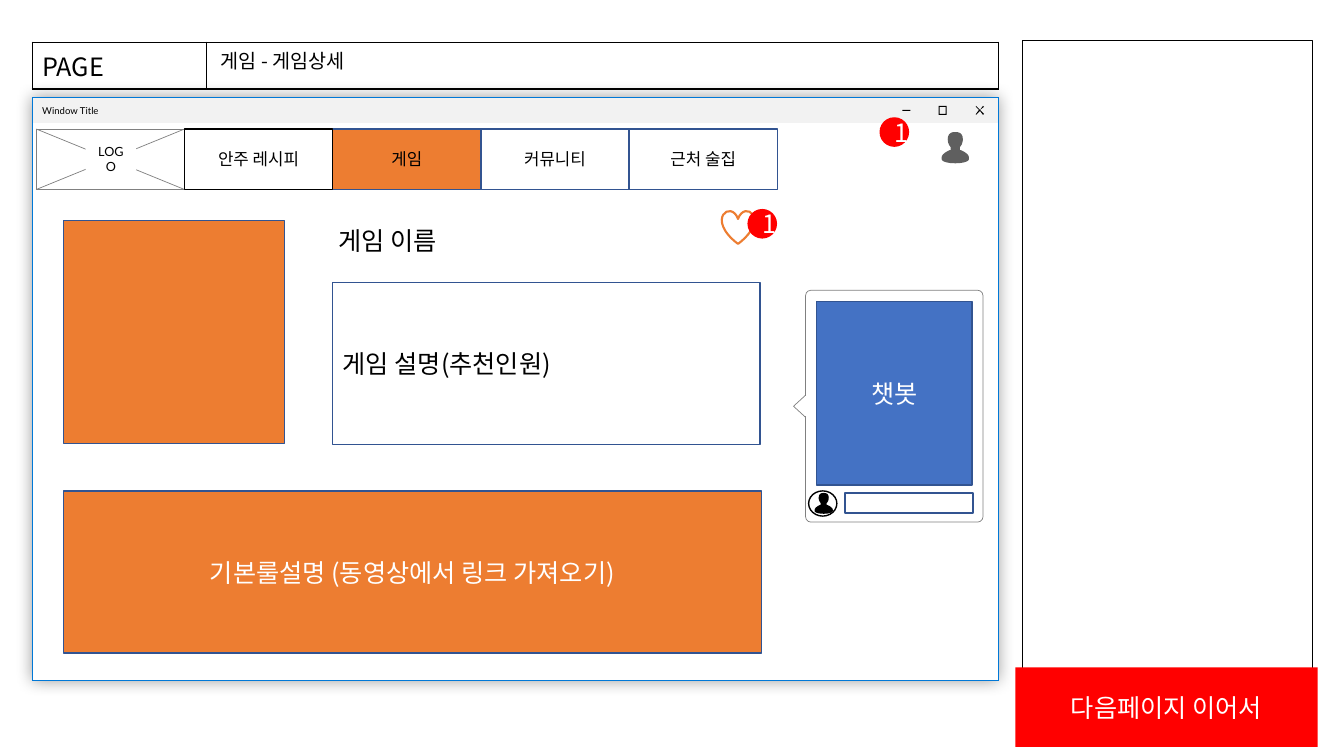
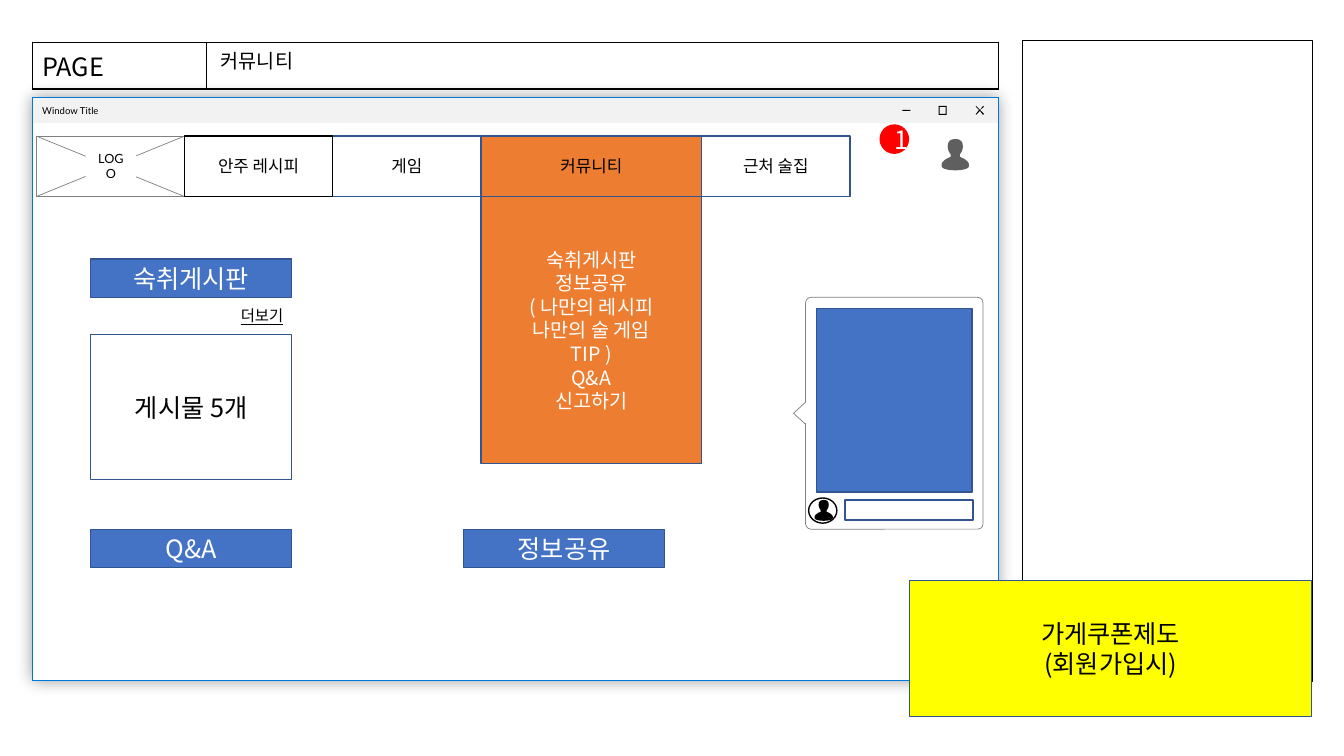
"""Builds two wireframe slides: a game detail page and a community page."""
from lxml import etree
from pptx import Presentation
from pptx.dml.color import RGBColor
from pptx.enum.shapes import MSO_CONNECTOR, MSO_SHAPE
from pptx.enum.text import MSO_ANCHOR, MSO_AUTO_SIZE, PP_ALIGN
from pptx.oxml.ns import qn
from pptx.util import Inches, Pt

BLACK = RGBColor(0x00, 0x00, 0x00)
WHITE = RGBColor(0xFF, 0xFF, 0xFF)
RED = RGBColor(0xFF, 0x00, 0x00)
YELLOW = RGBColor(0xFF, 0xFF, 0x00)
ORANGE = RGBColor(0xED, 0x7D, 0x31)
BLUE = RGBColor(0x44, 0x72, 0xC4)
NAVY = RGBColor(0x32, 0x54, 0x91)
WINDOW_BLUE = RGBColor(0x00, 0x78, 0xD7)
BAR_GRAY = RGBColor(0xF2, 0xF2, 0xF2)
GRAY = RGBColor(0x80, 0x80, 0x80)
ICON_GRAY = RGBColor(0x5F, 0x5F, 0x5F)
KOREAN, LATIN = "Noto Sans CJK KR", "Lato"
LEFT, CENTER = PP_ALIGN.LEFT, PP_ALIGN.CENTER

TABS = ["안주 레시피", "게임", "커뮤니티", "근처 술집"]
TAB_LEFT, TAB_W, TAB_H = 1.83, 1.47, 0.6
WINDOW = (0.32, 0.97, 9.58, 5.78)
BADGE = {"shape": MSO_SHAPE.OVAL, "fill": RED, "line": RED, "text": "1", "color": WHITE}
BLUE_BOX = {"fill": BLUE, "line": NAVY, "color": WHITE}
ORANGE_BOX = {"fill": ORANGE, "line": NAVY, "color": WHITE}
WHITE_BOX = {"fill": WHITE, "line": NAVY}
LABEL = {"align": LEFT, "anchor": MSO_ANCHOR.TOP, "wrap": False}

PAGES = [
    {
        "title": "게임 - 게임상세",
        "top": 1.28,
        "active": "게임",
        "active_w": TAB_W,
        "chat": "챗봇",
        "boxes": [
            ((0.63, 2.19, 2.19, 2.21), ORANGE_BOX),
            ((3.26, 2.19, 1.3, 0.4), {**LABEL, "text": "게임 이름"}),
            ((3.3, 2.8, 4.24, 1.61),
             {**WHITE_BOX, "text": "게임 설명(추천인원)", "align": LEFT}),
            ((0.63, 4.87, 6.92, 1.61),
             {**ORANGE_BOX, "text": "기본룰설명 (동영상에서 링크 가져오기)"}),
            ((7.16, 2.09, 0.32, 0.33),
             {"shape": MSO_SHAPE.HEART, "fill": WHITE, "line": ORANGE, "weight": 1.5}),
            ((7.42, 2.08, 0.28, 0.28), BADGE),
            ((10.07, 6.62, 3, 0.79),
             {"fill": RED, "color": WHITE, "text": "다음페이지 이어서"}),
        ],
    },
    {
        "title": "커뮤니티",
        "top": 1.35,
        "active": "커뮤니티",
        "active_w": 2.19,
        "chat": "",
        "boxes": [
            ((0.9, 2.57, 1.99, 0.38), {**BLUE_BOX, "text": "숙취게시판"}),
            ((4.77, 1.95, 2.19, 2.65),
             {**ORANGE_BOX, "size": 14,
              "text": "숙취게시판\n정보공유\n( 나만의 레시피\n나만의 술 게임\nTIP )\nQ&A\n신고하기"}),
            ((4.6, 5.25, 1.99, 0.38), {**BLUE_BOX, "text": "정보공유"}),
            ((0.9, 5.25, 1.99, 0.38), {**BLUE_BOX, "text": "Q&A"}),
            ((0.9, 3.32, 1.99, 1.44), {**WHITE_BOX, "text": "게시물 5개"}),
            ((2.29, 2.99, 0.66, 0.29),
             {**LABEL, "text": "더보기", "size": 11, "underline": True}),
            ((9.02, 5.76, 3.99, 1.35),
             {"fill": YELLOW, "line": NAVY, "text": "가게쿠폰제도\n(회원가입시)"}),
        ],
    },
]

PERSON_W = 0.27
PERSON_START = (0.13, 0)
PERSON_LEFT_HALF = [
    [(0.09, 0), (0.06, 0.02), (0.06, 0.07)],
    [(0.06, 0.1), (0.07, 0.13), (0.09, 0.15)],
    [(0.09, 0.15), (0.09, 0.17), (0.09, 0.17)],
    [(0.09, 0.18), (0.09, 0.18), (0.08, 0.18)],
    [(0.03, 0.2), (0, 0.23), (0, 0.25)],
    [(0, 0.25), (0, 0.27), (0, 0.27)],
    [(0, 0.29), (0.05, 0.31), (0.13, 0.31)],
]
MAXIMIZE = [
    [(9.31, 1.05), (9.31, 1.14), (9.39, 1.14), (9.39, 1.05)],
    [(9.32, 1.06), (9.38, 1.06), (9.38, 1.13), (9.32, 1.13)],
]
CLOSE = [[
    (9.68, 1.05), (9.68, 1.06), (9.71, 1.09), (9.68, 1.13), (9.68, 1.14), (9.72, 1.1),
    (9.75, 1.14), (9.76, 1.13), (9.72, 1.09), (9.76, 1.06), (9.75, 1.05), (9.72, 1.09),
]]


def inches(values):
    return [Inches(v) for v in values]


def paint(sp, fill=None, line=None, weight=1):
    sp.shadow.inherit = False
    if fill is None:
        sp.fill.background()
    else:
        sp.fill.solid()
        sp.fill.fore_color.rgb = fill
    if line is None:
        sp.line.fill.background()
    else:
        sp.line.color.rgb = line
        sp.line.width = Pt(weight)


def add_run(p, text, size=18, color=BLACK, font=KOREAN, underline=None):
    r = p.add_run()
    r.text = text
    r.font.size = Pt(size)
    r.font.color.rgb = color
    r.font.name = font
    r.font.underline = underline
    etree.SubElement(r.font._element, qn("a:ea"), typeface=font)


def add_box(shapes, at, shape=MSO_SHAPE.RECTANGLE, fill=None, line=None, weight=1, text="",
            align=CENTER, anchor=MSO_ANCHOR.MIDDLE, wrap=True, **font):
    if fill is None and line is None:
        sp = shapes.add_textbox(*inches(at))
    else:
        sp = shapes.add_shape(shape, *inches(at))
        paint(sp, fill, line, weight)
    if text:
        tf = sp.text_frame
        tf.word_wrap = wrap
        tf.vertical_anchor = anchor
        for i, words in enumerate(text.split("\n")):
            p = tf.add_paragraph() if i else tf.paragraphs[0]
            p.alignment = align
            add_run(p, words, **font)
    return sp


def add_line(shapes, start, end, color):
    cx = shapes.add_connector(MSO_CONNECTOR.STRAIGHT, *inches(start + end))
    cx.line.color.rgb = color
    cx.line.width = Pt(0.5)
    etree.SubElement(cx._element.spPr, qn("a:effectLst"))


def add_outline(shapes, contours, fill):
    contours = [[inches(point) for point in contour] for contour in contours]
    builder = shapes.build_freeform(*contours[0][0])
    for i, contour in enumerate(contours):
        if i:
            builder.move_to(*contour[0])
        builder.add_line_segments(contour[1:], close=True)
    paint(builder.convert_to_shape(), fill)


def person_points(left, top, width):
    half = [PERSON_START]
    for c1, c2, end in PERSON_LEFT_HALF:
        start = half[-1]
        for t in (0.2, 0.4, 0.6, 0.8, 1):
            weights = ((1 - t) ** 3, 3 * t * (1 - t) ** 2, 3 * t * t * (1 - t), t ** 3)
            half.append(tuple(sum(w * pt[k] for w, pt in zip(weights, (start, c1, c2, end)))
                              for k in (0, 1)))
    whole = half + [(PERSON_W - x, y) for x, y in reversed(half)]
    scale = width / PERSON_W
    return [(left + x * scale, top + y * scale) for x, y in whole]


def add_glow(sp):
    effects = sp._element.spPr.find(qn("a:effectLst"))
    glow = etree.SubElement(effects, qn("a:outerShdw"), blurRad=str(Pt(12)), dist="0",
                            algn="ctr", rotWithShape="0")
    color = etree.SubElement(glow, qn("a:srgbClr"), val=str(BLACK))
    etree.SubElement(color, qn("a:alpha"), val="40000")


def add_page_table(shapes):
    table = shapes.add_table(1, 2, *inches((0.32, 0.42, 9.58, 0.41))).table
    table.first_row = table.horz_banding = False
    for column, width in zip(table.columns, (1.73, 7.85)):
        column.width = Inches(width)
    for cell in table.iter_cells():
        tcPr = cell._tc.get_or_add_tcPr()
        for side in ("lnL", "lnR", "lnT", "lnB"):
            ln = etree.SubElement(tcPr, qn("a:" + side), w=str(Pt(1)))
            fill = etree.SubElement(ln, qn("a:solidFill"))
            etree.SubElement(fill, qn("a:srgbClr"), val=str(BLACK))
        cell.fill.background()
    add_run(table.cell(0, 0).text_frame.paragraphs[0], "PAGE")


def add_frame(shapes):
    add_box(shapes, (10.14, 0.4, 2.88, 6.36), line=BLACK, weight=0.75)
    add_glow(add_box(shapes, WINDOW, fill=WHITE, line=WINDOW_BLUE, weight=0.5))
    add_box(shapes, WINDOW[:3] + (0.25,), fill=BAR_GRAY, text="Window Title", align=LEFT,
            size=6.8, font=LATIN)
    add_box(shapes, (8.95, 1.09, 0.08, 0.01), fill=BLACK)
    add_outline(shapes, MAXIMIZE, BLACK)
    add_outline(shapes, CLOSE, BLACK)
    add_box(shapes, WINDOW, line=WINDOW_BLUE, weight=0.5)
    add_page_table(shapes)


def move_to_layout(slide, layout):
    for sp in list(slide.shapes):
        if not sp.is_placeholder:
            layout.shapes.element.append(sp._element)


def prepare_layout(layout):
    for ph in list(layout.placeholders):
        if ph.placeholder_format.idx:
            ph._element.getparent().remove(ph._element)
        else:
            ph.left, ph.top, ph.width, ph.height = inches((2.09, 0.46, 7.47, 0.35))


def set_title(slide, text):
    tf = slide.shapes.title.text_frame
    tf.auto_size = MSO_AUTO_SIZE.NONE
    tf.vertical_anchor = MSO_ANCHOR.TOP
    p = tf.paragraphs[0]
    p.alignment = LEFT
    p.line_spacing = 0.9
    add_run(p, text, size=14)


def add_chatbot(shapes, top, label):
    group = shapes.add_group_shape().shapes
    bubble = add_box(group, (7.99, top, 1.76, 2.3), MSO_SHAPE.ROUNDED_RECTANGLE, WHITE, GRAY, 0.5)
    bubble.adjustments[0] = 0.03
    pointer = add_box(group, (7.82, top + 1.09, 0.22, 0.12), MSO_SHAPE.ISOSCELES_TRIANGLE,
                      WHITE, GRAY, 0.5)
    pointer.rotation = 270
    add_line(group, (7.99, top + 1.05), (7.99, top + 1.25), WHITE)
    add_box(group, (8.38, top + 2.01, 1.27, 0.2), **WHITE_BOX)
    add_box(group, (8.1, top + 0.11, 1.54, 1.82), text=label, **BLUE_BOX)
    add_box(group, (8.02, top + 1.99, 0.28, 0.25), MSO_SHAPE.OVAL, WHITE, BLACK)
    add_outline(group, [person_points(8.08, top + 2.01, 0.18)], BLACK)


def add_logo_slot(shapes, top):
    left, right, bottom = 0.36, TAB_LEFT, top + TAB_H
    group = shapes.add_group_shape().shapes
    add_box(group, (left, top, right - left, TAB_H), fill=WHITE, line=GRAY, weight=0.5)
    add_line(group, (left, bottom), (right, top), GRAY)
    add_line(group, (left, top), (right, bottom), GRAY)
    sp = add_box(group, (0.85, top + 0.18, 0.5, 0.23), fill=WHITE, text="LOGO", size=9, font=LATIN)
    tf = sp.text_frame
    tf.margin_left = tf.margin_right = Inches(0.08)
    tf.margin_top = tf.margin_bottom = Inches(0.04)


def add_tabs(shapes, page):
    widths = [page["active_w"] if tab == page["active"] else TAB_W for tab in TABS]
    for i in reversed(range(len(TABS))):
        add_box(shapes, (TAB_LEFT + sum(widths[:i]), page["top"], widths[i], TAB_H),
                fill=ORANGE if TABS[i] == page["active"] else WHITE,
                line=NAVY if i else BLACK, text=TABS[i], size=12)


def add_page(slide, page):
    shapes, top = slide.shapes, page["top"]
    set_title(slide, page["title"])
    add_box(shapes, (8.73, top - 0.11, 0.28, 0.28), **BADGE)
    add_outline(shapes, [person_points(9.34, top + 0.03, PERSON_W)], ICON_GRAY)
    add_chatbot(shapes, top + 1.6, page["chat"])
    add_logo_slot(shapes, top)
    add_tabs(shapes, page)
    for at, style in page["boxes"]:
        add_box(shapes, at, **style)


def main():
    prs = Presentation()
    prs.slide_width, prs.slide_height = inches((13.33, 7.5))
    layout = prs.slide_layouts[5]
    prepare_layout(layout)
    slides = [prs.slides.add_slide(layout) for _ in PAGES]
    add_frame(slides[0].shapes)
    move_to_layout(slides[0], layout)
    for slide, page in zip(slides, PAGES):
        add_page(slide, page)
    prs.save("out.pptx")


if __name__ == "__main__":
    main()
